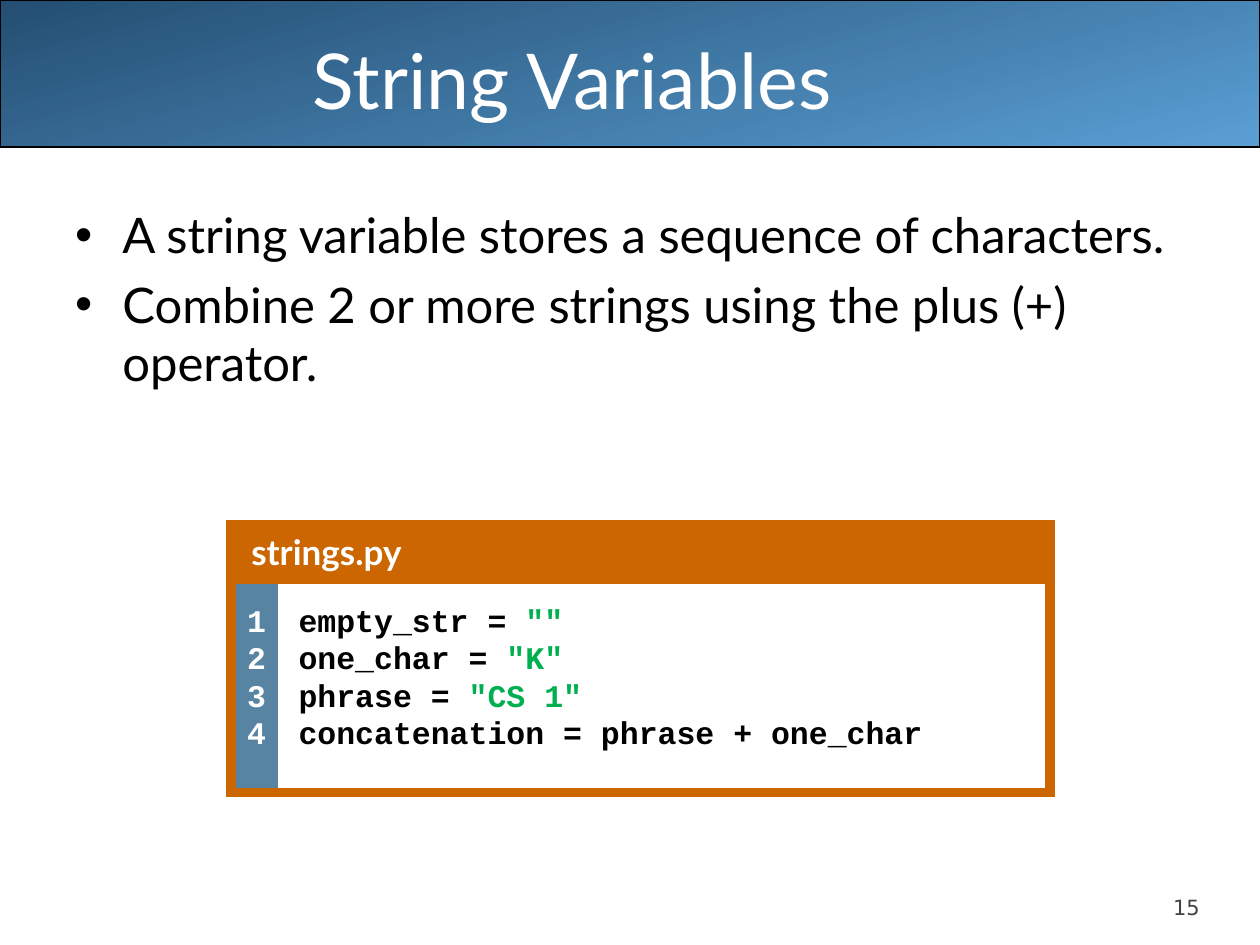
from lxml import etree
from pptx import Presentation
from pptx.dml.color import RGBColor
from pptx.enum.shapes import MSO_SHAPE
from pptx.enum.text import MSO_ANCHOR, PP_ALIGN
from pptx.oxml.ns import qn
from pptx.util import Pt

BANNER_SHAPE = MSO_SHAPE.ROUNDED_RECTANGLE
TOP, MIDDLE, BOTTOM = MSO_ANCHOR.TOP, MSO_ANCHOR.MIDDLE, MSO_ANCHOR.BOTTOM
LEFT, CENTER, RIGHT = PP_ALIGN.LEFT, PP_ALIGN.CENTER, PP_ALIGN.RIGHT

# Content
TITLE = "String Variables"
BULLETS = [
    "A string variable stores a sequence of characters.",
    "Combine 2 or more strings using the plus (+) operator.",
]
FILE_NAME = "strings.py"
CODE = [  # plain code, string literal
    ("empty_str = ", '""'),
    ("one_char = ", '"K"'),
    ("phrase = ", '"CS 1"'),
    ("concatenation = phrase + one_char", ""),
]
PAGE_NUMBER = "15"

THEME = {
    "text": "000000", "light": "FFFFFF", "literal": "00B050",
    "frame": "CC6600", "gutter": "5784A3", "page": "424242",
    "banner": ("244E72", "5A9FD4"),
    "font": "Lato", "code_font": "Courier New", "page_font": "DejaVu Sans",
    "title_size": 44, "body_size": 28, "file_size": 20, "code_size": 18,
    "page_size": 12,
}
FRAME_WIDTH = 6


def color(name):
    return RGBColor.from_string(THEME[name])


def style(paragraph, font, size, colors, bold=False):
    """Format the runs of a paragraph, one colour per run."""
    for run, color_name in zip(paragraph.runs, colors):
        run.font.name = THEME[font]
        run.font.size = Pt(THEME[size])
        run.font.bold = bold
        run.font.color.rgb = color(color_name)


def indent(paragraph, margin, first_line=0):
    properties = paragraph._p.get_or_add_pPr()
    properties.set("marL", str(Pt(margin)))
    properties.set("indent", str(Pt(first_line)))
    return properties


def set_margins(target, left, top, right, bottom):
    target.margin_left, target.margin_top = Pt(left), Pt(top)
    target.margin_right, target.margin_bottom = Pt(right), Pt(bottom)


def add_text(slide, box, text, margins, anchor):
    frame = slide.shapes.add_textbox(*map(Pt, box)).text_frame
    frame.word_wrap = True
    frame.vertical_anchor = anchor
    set_margins(frame, *margins)
    frame.text = text
    return frame


def format_cell(cell, fill, margins, framed_sides):
    """Fill a cell, frame the given sides and clear the others."""
    set_margins(cell, *margins)
    cell.fill.solid()
    cell.fill.fore_color.rgb = color(fill)
    properties = cell._tc.get_or_add_tcPr()
    for position, side in enumerate("LRTB"):
        line = etree.Element(qn("a:ln" + side))
        if side in framed_sides:
            line.set("w", str(Pt(FRAME_WIDTH)))
            solid = etree.SubElement(line, qn("a:solidFill"))
            etree.SubElement(solid, qn("a:srgbClr"), val=THEME["frame"])
        else:
            line.set("w", "0")
            etree.SubElement(line, qn("a:noFill"))
        properties.insert(position, line)


def add_code_line(cell, number, parts, colors, align):
    frame = cell.text_frame
    paragraph = frame.paragraphs[0] if number == 1 else frame.add_paragraph()
    for part in filter(None, parts):
        paragraph.add_run().text = part
    paragraph.alignment = align
    paragraph.line_spacing = 0.87
    paragraph.space_before = Pt(3.6)
    indent(paragraph, 8)
    style(paragraph, "code_font", "code_size", colors, bold=True)


def add_banner(slide):
    banner = slide.shapes.add_shape(BANNER_SHAPE, 0, 0, Pt(720), Pt(84))
    banner.adjustments[0] = 0.001
    banner.shadow.inherit = False
    banner.fill.gradient()
    banner.fill.gradient_angle = 285
    for stop, value in zip(banner.fill.gradient_stops, THEME["banner"]):
        stop.color.rgb = RGBColor.from_string(value)
    banner.line.color.rgb = color("text")
    banner.line.width = Pt(1)

    # The wide right margin sets the title left of centre
    title = add_text(slide, (36, 0, 648, 90), TITLE, (4, 4, 70, 4), MIDDLE)
    title.paragraphs[0].alignment = CENTER
    style(title.paragraphs[0], "font", "title_size", ["light"])


def add_bullets(slide):
    body = add_text(slide, (36, 113, 648, 390), "\n".join(BULLETS),
                    (4, 4, 7, 4), TOP)
    for paragraph in body.paragraphs:
        paragraph.space_before = Pt(6)
        properties = indent(paragraph, 30, -27)
        etree.SubElement(properties, qn("a:buFont"), typeface="Arial")
        etree.SubElement(properties, qn("a:buChar"), char="•")
        style(paragraph, "font", "body_size", ["text"])


def add_listing(slide):
    column_widths, row_heights = (27, 441), (30.5, 121.5)
    table = slide.shapes.add_table(
        2, 2, Pt(132), Pt(300), Pt(sum(column_widths)),
        Pt(sum(row_heights))).table
    for column, width in zip(table.columns, column_widths):
        column.width = Pt(width)
    for row, height in zip(table.rows, row_heights):
        row.height = Pt(height)

    # File name across both columns
    header, gutter, code = table.cell(0, 0), table.cell(1, 0), table.cell(1, 1)
    header.merge(table.cell(0, 1))
    for cell in (header, table.cell(0, 1)):
        format_cell(cell, "frame", (3.6, 3.6, 3.6, 3.6), "LRTB")
    header.text_frame.text = FILE_NAME
    paragraph = header.text_frame.paragraphs[0]
    paragraph.space_before = Pt(4)
    indent(paragraph, 8)
    style(paragraph, "font", "file_size", ["light"], bold=True)

    # Line numbers beside the code
    format_cell(gutter, "gutter", (3.6, 16, 7, 16), "LTB")
    format_cell(code, "light", (3.6, 16, 13, 16), "RTB")
    for number, parts in enumerate(CODE, 1):
        add_code_line(gutter, number, [str(number)], ["light"], RIGHT)
        add_code_line(code, number, parts, ["text", "literal"], LEFT)


def add_page_number(slide):
    page = add_text(slide, (664, 510, 28, 19), PAGE_NUMBER,
                    (0, 0, 0, 3.6), BOTTOM)
    page.paragraphs[0].alignment = CENTER
    style(page.paragraphs[0], "page_font", "page_size", ["page"])


def main():
    presentation = Presentation()
    presentation.slide_width, presentation.slide_height = Pt(720), Pt(540)
    slide = presentation.slides.add_slide(presentation.slide_layouts[6])
    add_page_number(slide)
    add_banner(slide)
    add_bullets(slide)
    add_listing(slide)
    presentation.save("out.pptx")


if __name__ == "__main__":
    main()
